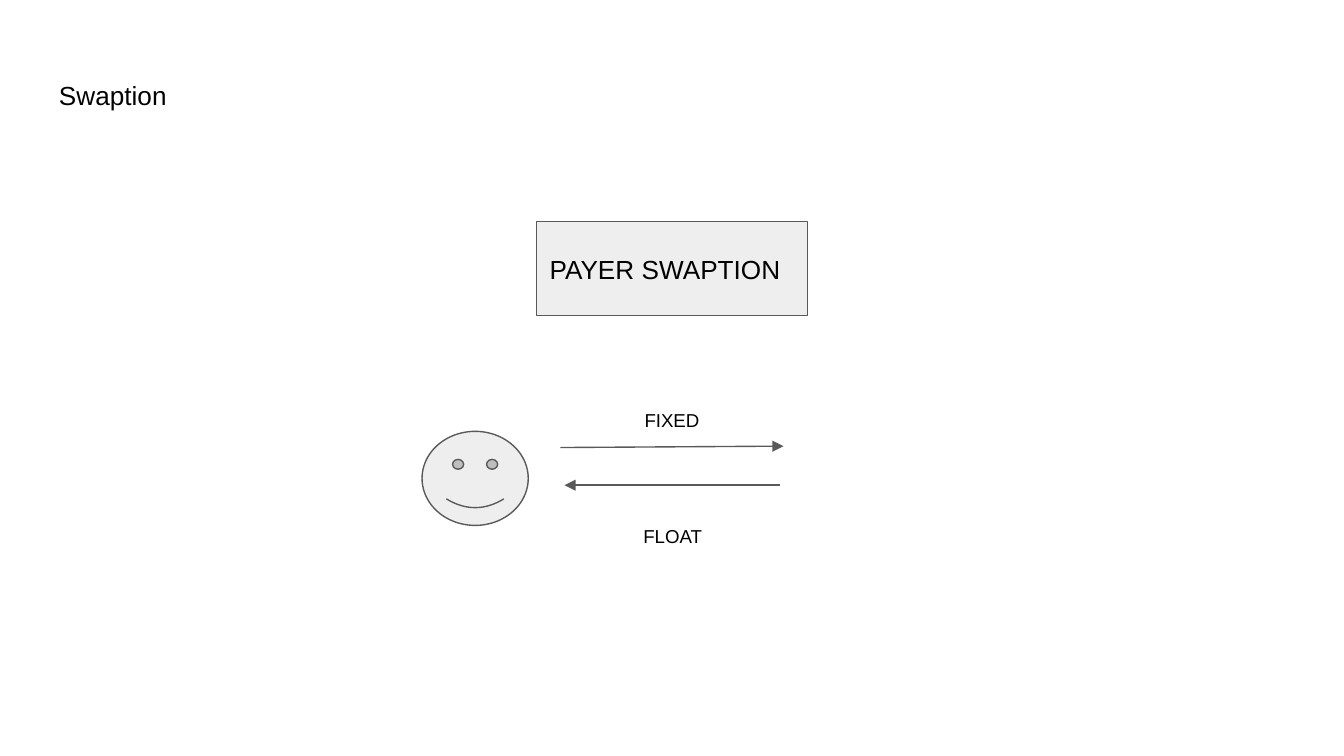
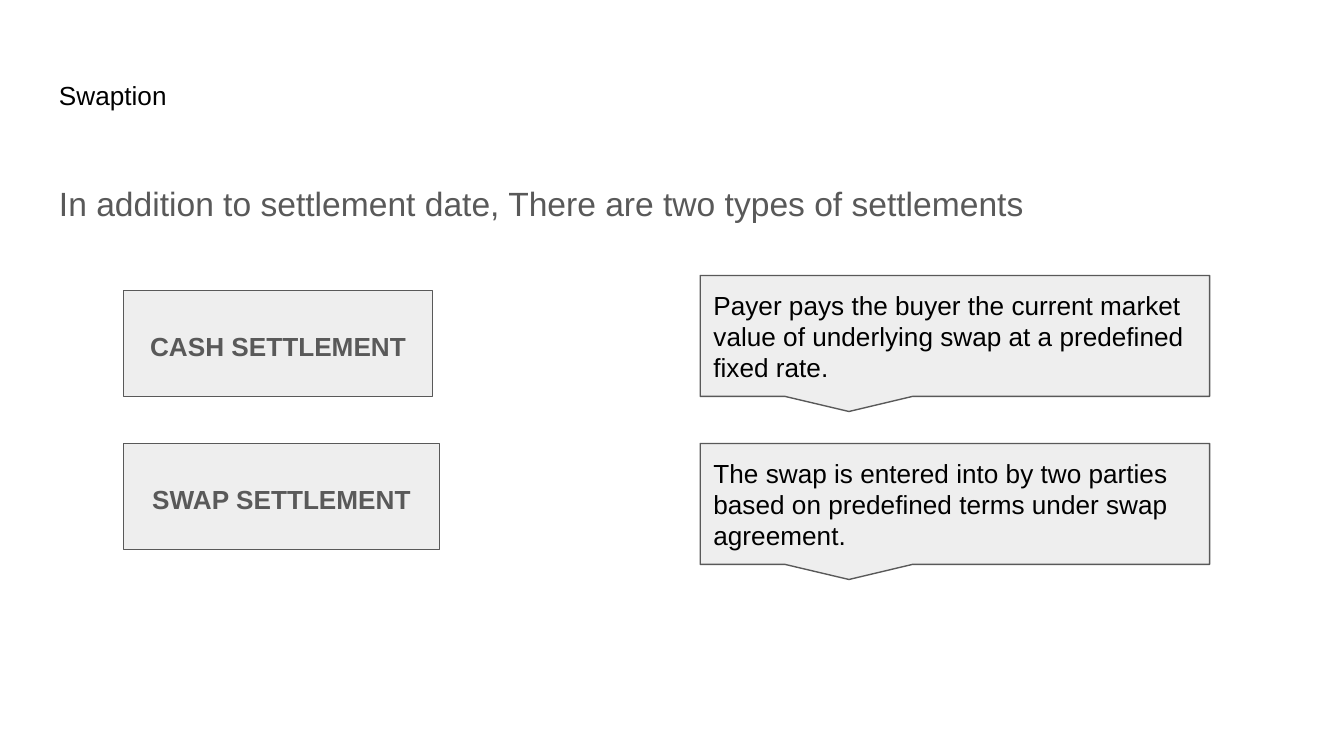
from pptx import Presentation
from pptx import util as u
from pptx.dml.color import RGBColor
from pptx.enum import shapes, text
from pptx.oxml.ns import qn
from lxml import etree

BLACK = RGBColor(0x00, 0x00, 0x00)
GREY = RGBColor(0x59, 0x59, 0x59)
PALE = RGBColor(0xEE, 0xEE, 0xEE)
FONT = "Arial"
LINE = u.Pt(0.75)
LEFT, MIDDLE = text.PP_ALIGN.LEFT, text.MSO_ANCHOR.MIDDLE
CENTER, TOP = text.PP_ALIGN.CENTER, text.MSO_ANCHOR.TOP
RECT = shapes.MSO_SHAPE.RECTANGLE
FACE = shapes.MSO_SHAPE.SMILEY_FACE
CALLOUT = shapes.MSO_SHAPE.RECTANGULAR_CALLOUT

prs = Presentation()
prs.slide_width = u.Inches(10)
prs.slide_height = u.Inches(5.625)
COL = prs.slide_width / 100
ROW = prs.slide_height / 56.25


def grid(x, y, w, h):
    return int(x * COL), int(y * ROW), int(w * COL), int(h * ROW)


def write(sp, words, size=14, color=BLACK, bold=False, align=LEFT,
          anchor=TOP, spacing=None, after=None):
    tf = sp.text_frame
    tf.word_wrap = True
    tf.vertical_anchor = anchor
    tf.margin_left = tf.margin_right = tf.margin_top = tf.margin_bottom = u.Inches(0.1)
    p = tf.paragraphs[0]
    p.alignment = align
    if spacing:
        p.line_spacing = spacing
        p.space_after = u.Pt(after)
    r = p.add_run()
    r.text = words
    r.font.name = FONT
    r.font.size = u.Pt(size)
    r.font.bold = bold
    r.font.color.rgb = color


BODY = dict(color=GREY, spacing=1.15, after=16)
BOX = dict(BODY, bold=True, align=CENTER, anchor=MIDDLE)
LABEL = dict(size=10, align=CENTER)

slides = [
    dict(
        outlined=[
            (RECT, (39.9, 16.5, 20.2, 7), [], "PAYER SWAPTION", dict(anchor=MIDDLE)),
            (FACE, (31.4, 32.1, 7.9, 7), [0.047], None, {}),
        ],
        arrows=[((41.7, 33.3), (58.3, 33.2)), ((58, 36.1), (42, 36.1))],
        texts=[
            ((44.8, 29.6, 10.4, 2.5), "FIXED", LABEL),
            ((46.7, 38.2, 6.7, 2), "FLOAT", LABEL),
        ],
    ),
    dict(
        outlined=[
            (RECT, (9.2, 21.6, 23, 7.9), [], "CASH SETTLEMENT", BOX),
            (RECT, (9.2, 33, 23.5, 7.9), [], "SWAP SETTLEMENT", BOX),
            (CALLOUT, (52.1, 20.5, 37.9, 9), [-0.208, 0.625],
             "Payer pays the buyer the current market value of underlying swap "
             "at a predefined fixed rate.", {}),
            (CALLOUT, (52.1, 33, 37.9, 9), [-0.208, 0.625],
             "The swap is entered into by two parties based on predefined terms "
             "under swap agreement.", {}),
        ],
        arrows=[],
        texts=[
            ((3.4, 12.2, 93.2, 37.4),
             "In addition to settlement date, There are two types of settlements",
             dict(BODY, size=18)),
        ],
    ),
]

for content in slides:
    s = prs.slides.add_slide(prs.slide_layouts[6])

    title = ((3.4, 4.9, 93.2, 6.3), "Swaption", {})
    for place, words, style in [title] + content["texts"]:
        write(s.shapes.add_textbox(*grid(*place)), words, **style)

    for kind, place, adjustments, words, style in content["outlined"]:
        sp = s.shapes.add_shape(kind, *grid(*place))
        sp.shadow.inherit = False
        sp.fill.solid()
        sp.fill.fore_color.rgb = PALE
        sp.line.color.rgb = GREY
        sp.line.width = LINE
        for i, value in enumerate(adjustments):
            sp.adjustments[i] = value
        if words:
            write(sp, words, **style)

    for start, end in content["arrows"]:
        arrow = s.shapes.add_connector(
            shapes.MSO_CONNECTOR.STRAIGHT, *grid(*start, *end))
        arrow.line.color.rgb = GREY
        arrow.line.width = LINE
        spPr = arrow._element.spPr
        etree.SubElement(spPr.find(qn("a:ln")), qn("a:tailEnd"),
                         type="triangle", w="med", len="med")
        etree.SubElement(spPr, qn("a:effectLst"))

prs.save("out.pptx")
